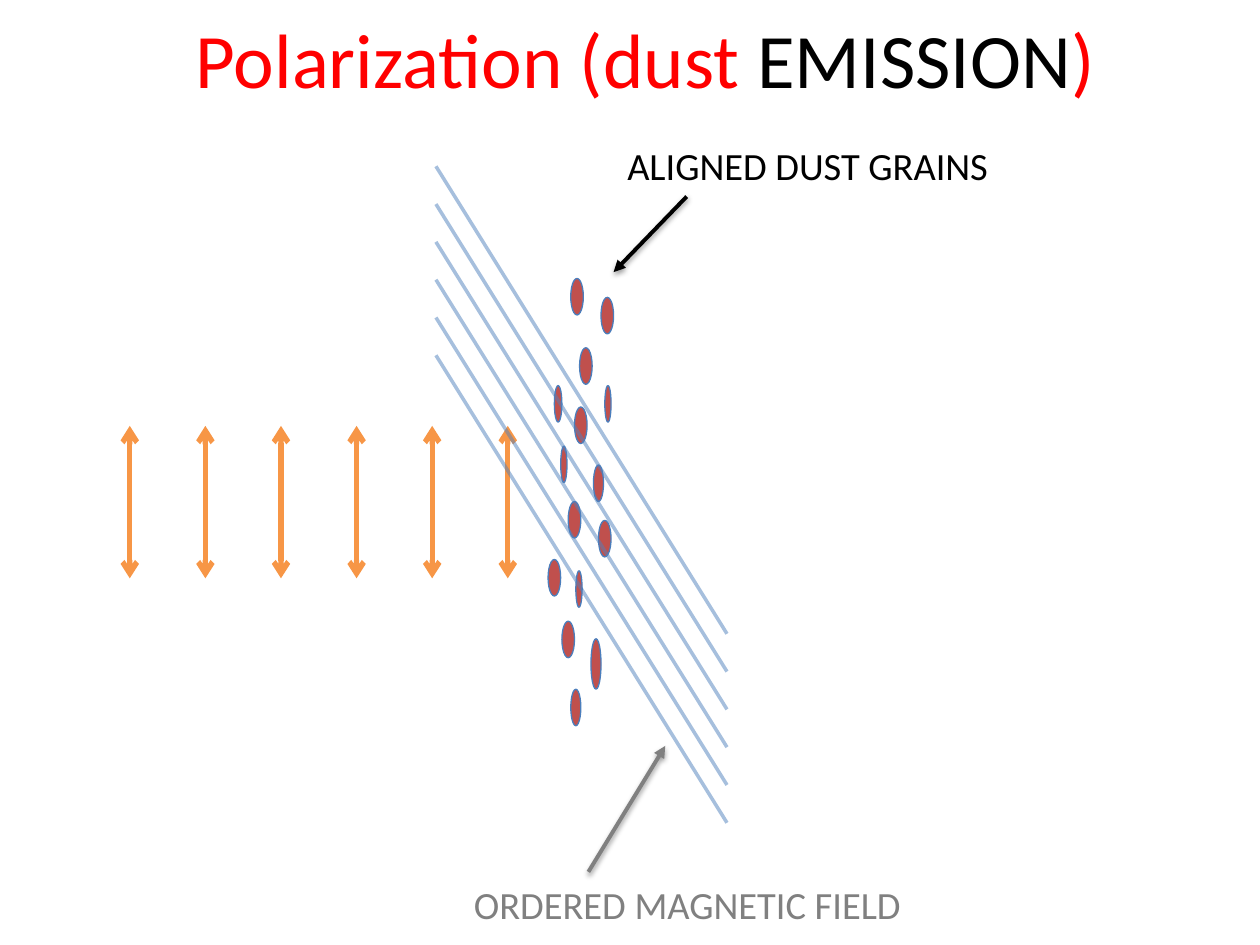
from lxml import etree
from pptx import Presentation
from pptx.dml.color import RGBColor
from pptx.enum.shapes import MSO_CONNECTOR, MSO_SHAPE
from pptx.enum.text import MSO_ANCHOR, PP_ALIGN
from pptx.oxml.ns import qn
from pptx.util import Emu, Pt

LINE = MSO_CONNECTOR.STRAIGHT
OVAL = MSO_SHAPE.OVAL
MIDDLE = MSO_ANCHOR.MIDDLE
CENTER = PP_ALIGN.CENTER

SCALE = 9144  # 100 px to the inch
FONT = "Calibri"
RED, BLACK, GRAY = "FF0000", "000000", "808080"
ORANGE, BLUE, RUST, EDGE = "F79646", "4F81BD", "C0504D", "4B7EBC"


def px(n):
    return Emu(n * SCALE)


def rgb(code):
    return RGBColor.from_string(code)


def sub(node, tag, **attrs):
    return etree.SubElement(node, qn(tag), attrs)


class Board:
    def __init__(self, deck):
        self.slide = deck.slides.add_slide(deck.slide_layouts[6])
        self.shapes = self.slide.shapes

    def text(self, box, runs, size, anchor=None):
        frame = self.shapes.add_textbox(*map(px, box)).text_frame
        frame.word_wrap = True
        if anchor is not None:
            frame.vertical_anchor = anchor
        para = frame.paragraphs[0]
        para.alignment = CENTER
        para.font.name = FONT
        para.font.size = Pt(size)
        for words, color in runs:
            run = para.add_run()
            run.text = words
            run.font.color.rgb = rgb(color)

    def grain(self, x, y, w, h):
        oval = self.shapes.add_shape(OVAL, *map(px, (x, y, w, h)))
        oval.shadow.inherit = False
        oval.fill.solid()
        oval.fill.fore_color.rgb = rgb(RUST)
        oval.line.color.rgb = rgb(EDGE)
        oval.line.width = Pt(0.75)

    def line(self, ends, color, width, head=None, tail=None,
             alpha=None, shadow=False, group=None):
        home = group.shapes if group is not None else self.shapes
        line = home.add_connector(LINE, *map(px, ends))
        line.line.color.rgb = rgb(color)
        line.line.width = Pt(width)
        props = line._element.spPr
        stroke = props.find(qn("a:ln"))
        if alpha:
            fill = stroke.find(qn("a:solidFill"))
            sub(fill[0], "a:alpha", val=str(alpha * 1000))
        for tag, kind in (("a:headEnd", head), ("a:tailEnd", tail)):
            if kind:
                sub(stroke, tag, type=kind)
        effects = sub(props, "a:effectLst")
        if shadow:
            shade = sub(effects, "a:outerShdw", blurRad=str(Pt(3.1)),
                        dist=str(Pt(1.6)), dir="5400000", rotWithShape="0")
            tint = sub(shade, "a:srgbClr", val=BLACK)
            sub(tint, "a:alpha", val="38000")


def main():
    deck = Presentation()
    deck.slide_width, deck.slide_height = px(1000), px(750)
    board = Board(deck)

    # Title
    board.text((62, -17, 900, 125),
               [("Polarization (dust ", RED), ("EMISSION", BLACK), (")", RED)],
               44, MIDDLE)

    # Dust label and pointer
    board.line((487, 216, 545, 156), BLACK, 2.25, head="triangle", shadow=True)
    board.text((450, 108, 382, 47), [("ALIGNED DUST GRAINS", BLACK)], 22)

    # Dust grains: left, top, width
    grains = [(440, 306, 6), (456, 323, 10), (471, 369, 8), (480, 306, 5),
              (445, 354, 5), (451, 398, 10), (475, 413, 10), (435, 444, 10),
              (457, 453, 5), (446, 493, 10), (453, 547, 8), (453, 221, 10),
              (477, 236, 10), (460, 276, 10)]
    for x, y, w in grains:
        board.grain(x, y, w, 29)
    board.grain(469, 507, 8, 40)

    # Polarized waves
    for i in range(6):
        x = 103 + 60 * i
        board.line((x, 338, x, 459), ORANGE, 3, head="arrow", tail="arrow")

    # Magnetic field lines
    field = board.shapes.add_group_shape()
    for i in range(6):
        y = 132 + 30 * i
        board.line((346, y, 577, y + 371), BLUE, 2, alpha=49, group=field)

    # Field label and pointer
    board.line((528, 592, 467, 692), GRAY, 2.25, head="triangle", shadow=True)
    board.text((335, 694, 421, 47), [("ORDERED MAGNETIC FIELD", GRAY)], 22)

    deck.save("out.pptx")


if __name__ == "__main__":
    main()
